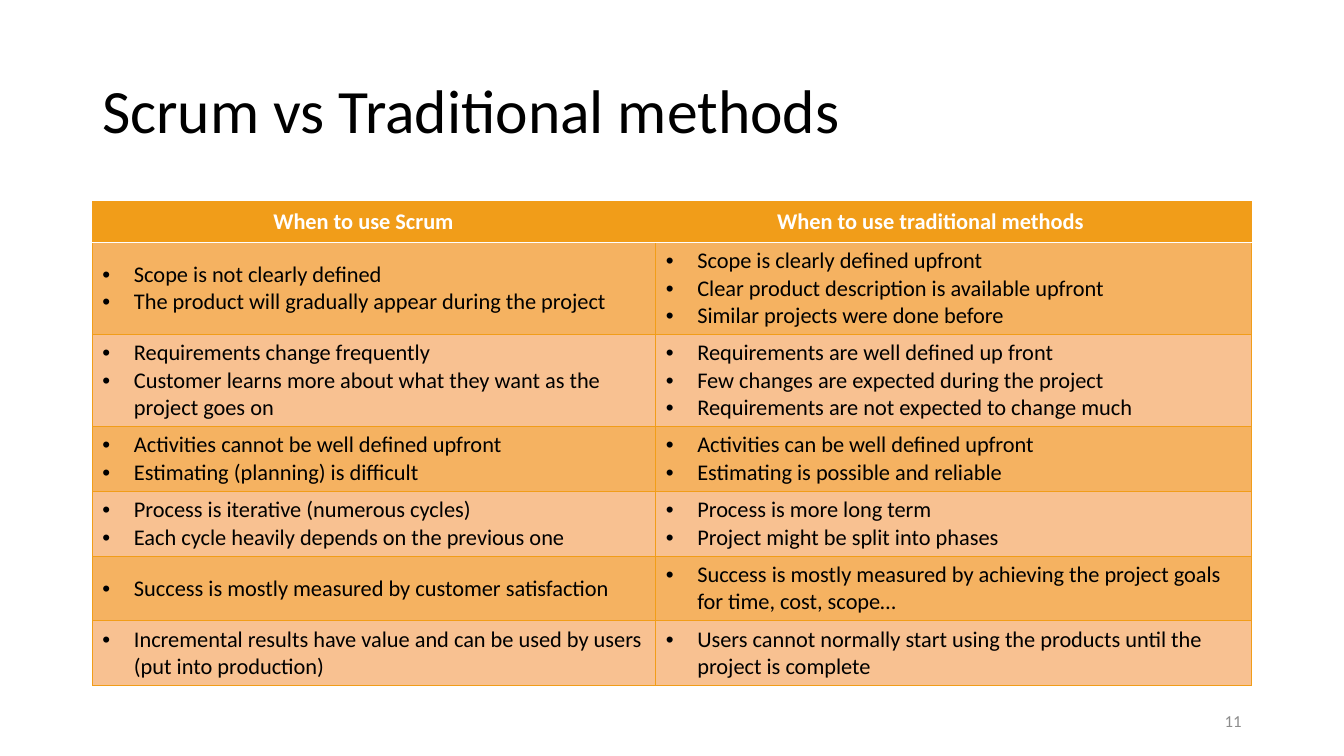
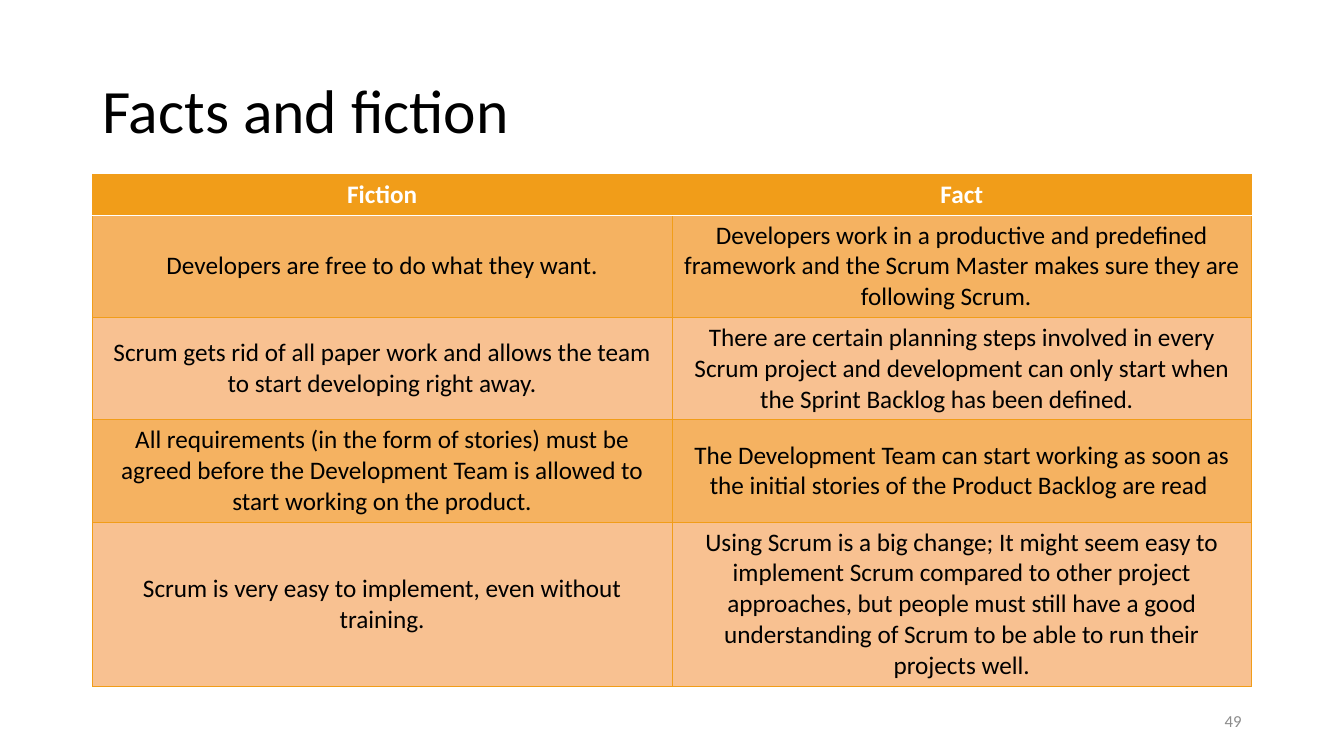
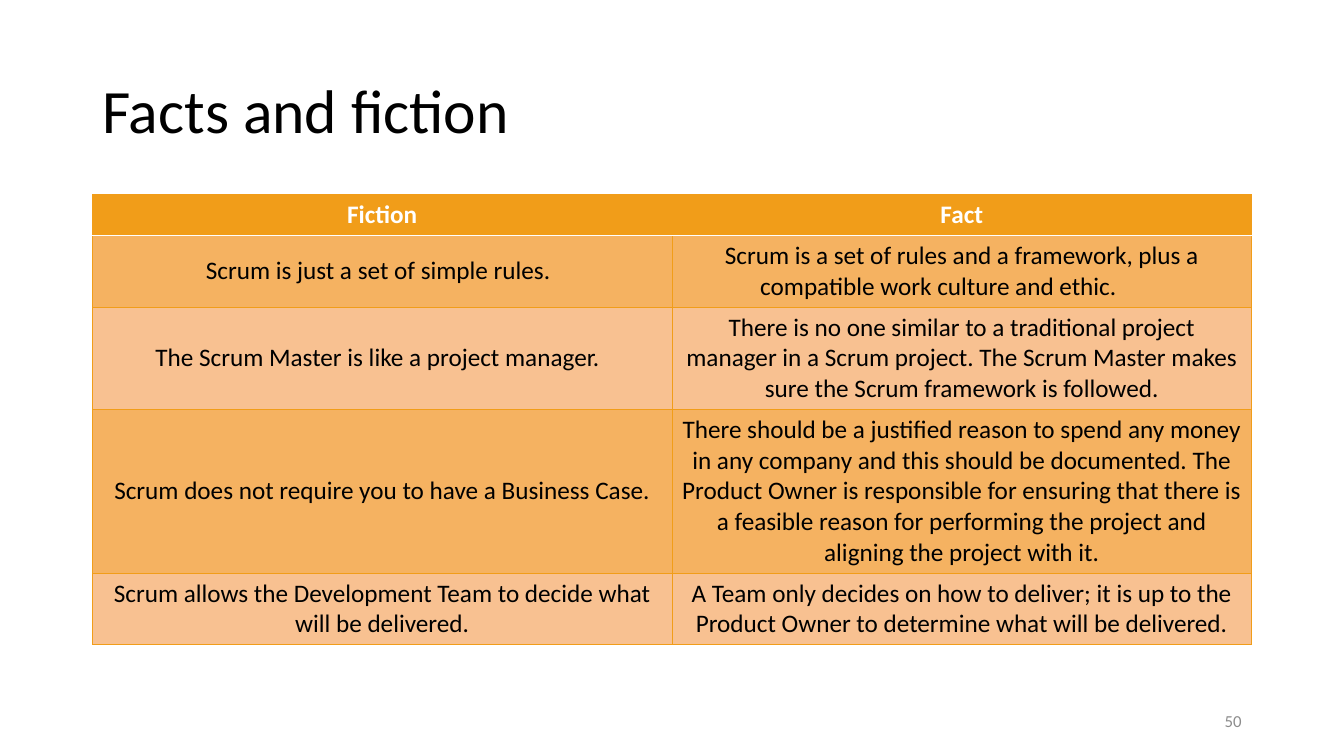
from lxml import etree
from pptx import Presentation
from pptx.dml.color import RGBColor
from pptx.enum import text
from pptx.oxml import ns
from pptx.util import Pt

FONT = "Calibri"
BLACK = RGBColor(0x00, 0x00, 0x00)
WHITE = RGBColor(0xFF, 0xFF, 0xFF)
GRAY = RGBColor(0x8C, 0x8C, 0x8C)
ORANGE = RGBColor(0xF1, 0x9D, 0x19)
BANDS = (RGBColor(0xF5, 0xB2, 0x61), RGBColor(0xF8, 0xC1, 0x91))

LEFT, CONTENT_WIDTH = 66, 828
HEADER_HEIGHT = 29.2
LINE_FACTOR, CELL_PADDING = 1.22, 7.2
BULLET_INDENT = 22.5
ALIGN = text.PP_ALIGN

# Each row: number of text lines it holds, left cell, right cell.
# A cell given as a list is bulleted; one given as a string is centred.
SLIDES = [
    dict(
        title="Scrum vs Traditional methods", number="11",
        top=144, columns=(402.4, 425.6), size=16,
        header=("When to use Scrum \t", "When to use traditional methods \t"),
        rows=[
            (3, ["Scope is not clearly defined",
                 "The product will gradually appear during the project"],
                ["Scope is clearly defined upfront",
                 "Clear product description is available upfront",
                 "Similar projects were done before"]),
            (3, ["Requirements change frequently",
                 "Customer learns more about what they want as the project goes on"],
                ["Requirements are well defined up front",
                 "Few changes are expected during the project",
                 "Requirements are not expected to change much"]),
            (2, ["Activities cannot be well defined upfront",
                 "Estimating (planning) is difficult"],
                ["Activities can be well defined upfront",
                 "Estimating is possible and reliable"]),
            (2, ["Process is iterative (numerous cycles)",
                 "Each cycle heavily depends on the previous one"],
                ["Process is more long term",
                 "Project might be split into phases"]),
            (2, ["Success is mostly measured by customer satisfaction"],
                ["Success is mostly measured by achieving the project goals "
                 "for time, cost, scope…"]),
            (2, ["Incremental results have value and can be used by users "
                 "(put into production)"],
                ["Users cannot normally start using the products until the "
                 "project is complete"]),
        ],
    ),
    dict(
        title="Facts and fiction", number="49",
        top=124.5, columns=(414, 414), size=18,
        header=("Fiction", "Fact"),
        rows=[
            (3, "Developers are free to do what they want.",
                "Developers work in a productive and predefined framework and "
                "the Scrum Master makes sure they are following Scrum. \t"),
            (3, "Scrum gets rid of all paper work and allows the team to start "
                "developing right away.",
                "There are certain planning steps involved in every Scrum "
                "project and development can only start when the Sprint "
                "Backlog has been defined. \t"),
            (3, "All requirements (in the form of stories) must be agreed "
                "before the Development Team is allowed to start working on "
                "the product.",
                "The Development Team can start working as soon as the initial "
                "stories of the Product Backlog are read\t"),
            (5, "Scrum is very easy to implement, even without training.",
                "Using Scrum is a big change; It might seem easy to implement "
                "Scrum compared to other project approaches, but people must "
                "still have a good understanding of Scrum to be able to run "
                "their projects well."),
        ],
    ),
    dict(
        title="Facts and fiction", number="50",
        top=139, columns=(414, 414), size=18,
        header=("Fiction", "Fact"),
        rows=[
            (2, "Scrum is just a set of simple rules. \t",
                "Scrum is a set of rules and a framework, plus a compatible "
                "work culture and ethic. \t"),
            (3, "The Scrum Master is like a project manager. \t",
                "There is no one similar to a traditional project manager in a "
                "Scrum project. The Scrum Master makes sure the Scrum "
                "framework is followed."),
            (5, "Scrum does not require you to have a Business Case.",
                "There should be a justified reason to spend any money in any "
                "company and this should be documented. The Product Owner is "
                "responsible for ensuring that there is a feasible reason for "
                "performing the project and aligning the project with it."),
            (2, "Scrum allows the Development Team to decide what will be "
                "delivered.",
                "A Team only decides on how to deliver; it is up to the "
                "Product Owner to determine what will be delivered."),
        ],
    ),
]


def add_bullet(para):
    properties = para._p.get_or_add_pPr()
    properties.set("marL", str(Pt(BULLET_INDENT)))
    properties.set("indent", str(-Pt(BULLET_INDENT)))
    etree.SubElement(properties, ns.qn("a:buFont"), typeface="Arial")
    etree.SubElement(properties, ns.qn("a:buChar"), char="•")


def write_text(frame, content, size, color=BLACK, bold=False, align=ALIGN.LEFT,
               spacing=None):
    """Fill a text frame; a list becomes bulleted paragraphs."""
    bulleted = isinstance(content, list)
    frame.word_wrap = True
    for index, line in enumerate(content if bulleted else [content]):
        para = frame.add_paragraph() if index else frame.paragraphs[0]
        if bulleted:
            add_bullet(para)
        para.alignment = align
        if spacing:
            para.line_spacing = spacing
        span = para.add_run()
        span.text = line
        span.font.name = FONT
        span.font.size = Pt(size)
        span.font.bold = bold
        span.font.color.rgb = color


def add_text_box(page, left, top, width, height, content, size, **style):
    box = page.shapes.add_textbox(Pt(left), Pt(top), Pt(width), Pt(height))
    box.text_frame.vertical_anchor = text.MSO_ANCHOR.MIDDLE
    write_text(box.text_frame, content, size, **style)


def set_borders(cell, **special):
    """Draw thin orange edges, except sides given as (colour, width)."""
    properties = cell._tc.get_or_add_tcPr()
    for index, side in enumerate("LRTB"):
        color, width = special.get(side, (ORANGE, 0.5))
        line = etree.Element(ns.qn(f"a:ln{side}"), w=str(Pt(width)))
        fill = etree.SubElement(line, ns.qn("a:solidFill"))
        etree.SubElement(fill, ns.qn("a:srgbClr"), val=str(color))
        properties.insert(index, line)


def add_comparison(page, top, columns, size, header, rows):
    heights = [HEADER_HEIGHT] + [
        round(lines * size * LINE_FACTOR + CELL_PADDING, 2) for lines, *_ in rows]
    table = page.shapes.add_table(
        len(heights), len(columns), Pt(LEFT), Pt(top),
        Pt(CONTENT_WIDTH), Pt(sum(heights))).table
    for column, width in zip(table.columns, columns):
        column.width = Pt(width)
    for row, height in zip(table.rows, heights):
        row.height = Pt(height)

    divider = (WHITE, 1)
    for r, contents in enumerate([header] + [cells for _, *cells in rows]):
        is_header = r == 0
        for c, content in enumerate(contents):
            cell = table.cell(r, c)
            cell.vertical_anchor = text.MSO_ANCHOR.MIDDLE
            cell.fill.solid()
            cell.fill.fore_color.rgb = ORANGE if is_header else BANDS[(r - 1) % 2]
            set_borders(cell, **({"B": divider} if is_header
                                 else {"T": divider} if r == 1 else {}))
            write_text(cell.text_frame, content, size,
                       color=WHITE if is_header else BLACK, bold=is_header,
                       align=ALIGN.LEFT if isinstance(content, list) else ALIGN.CENTER)


def main():
    deck = Presentation()
    deck.slide_width, deck.slide_height = Pt(960), Pt(540)
    for slide in SLIDES:
        page = deck.slides.add_slide(deck.slide_layouts[6])
        add_text_box(page, LEFT, 28.8, CONTENT_WIDTH, 104.4, slide["title"], 44,
                     spacing=0.9)
        add_comparison(page, slide["top"], slide["columns"], slide["size"],
                       slide["header"], slide["rows"])
        add_text_box(page, LEFT + CONTENT_WIDTH - 216, 500.5, 216, 28.8,
                     slide["number"], 12, color=GRAY, align=ALIGN.RIGHT)
    deck.save("out.pptx")


if __name__ == "__main__":
    main()
